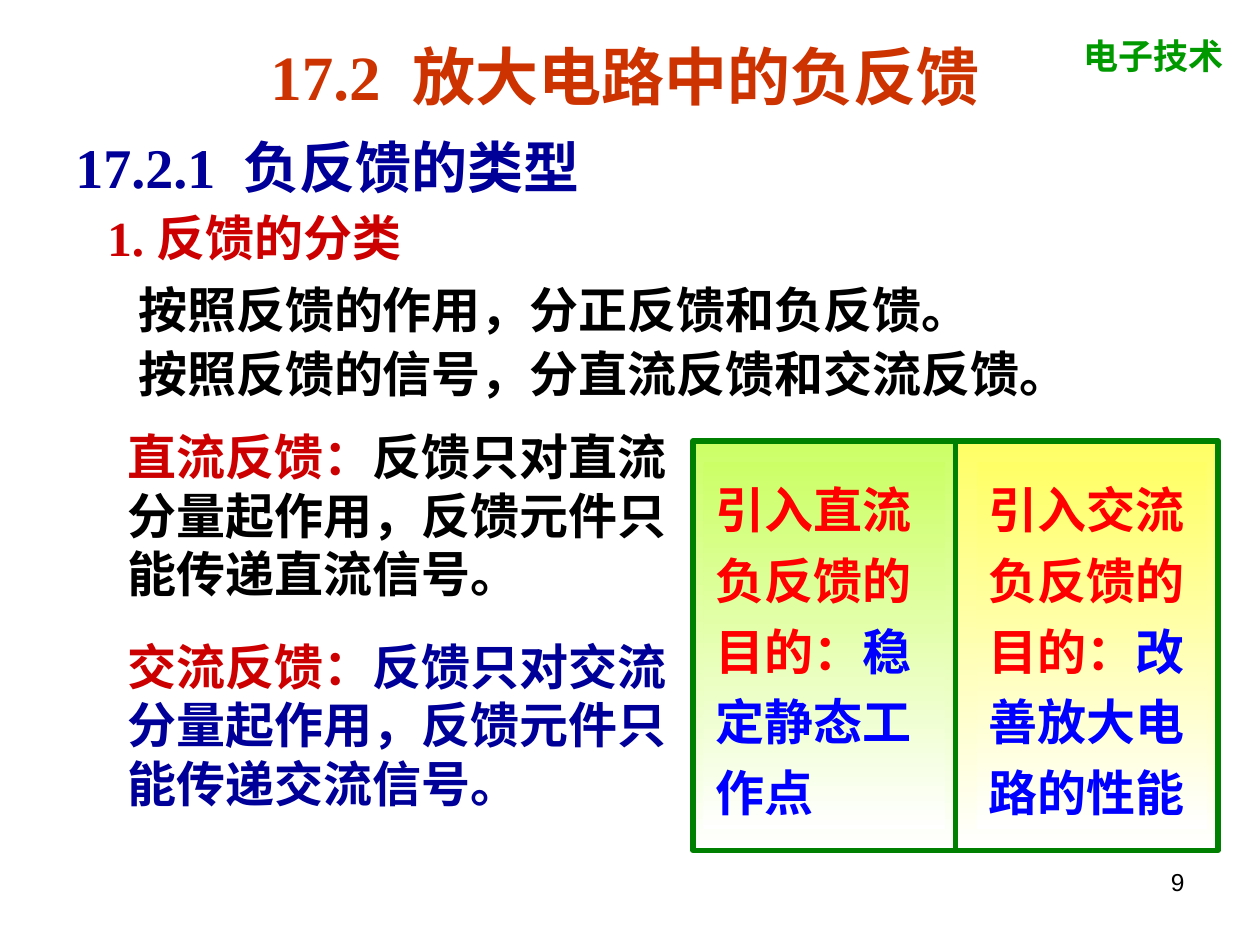
import pptx
import pptx.util
import pptx.dml.color
import pptx.enum.shapes
import pptx.enum.text
from lxml import etree

Pt = pptx.util.Pt
Align = pptx.enum.text.PP_ALIGN
Anchor = pptx.enum.text.MSO_ANCHOR
HUES = {"green": "009900", "rust": "CC3300", "navy": "000099", "crimson": "CC0000",
        "black": "000000", "red": "FF0000", "blue": "0000FF", "frame": "008000",
        "yellow": "FFFF66", "lime": "CCFF66", "white": "FFFFFF"}
LATIN, HAN = "Times New Roman", "Noto Sans CJK SC"


def hue(name):
    """Return the named colour."""
    return pptx.dml.color.RGBColor.from_string(HUES[name])


def write(frame, runs, size, align=Align.LEFT, anchor=Anchor.TOP, wrap=True,
          face=LATIN, bold=True, space=None):
    """Write one paragraph of (text, colour) runs into a text frame."""
    frame.auto_size = pptx.enum.text.MSO_AUTO_SIZE.NONE
    frame.word_wrap = wrap
    frame.vertical_anchor = anchor
    para = frame.paragraphs[0]
    para.alignment = align
    para.line_spacing = space
    for text, tone in runs:
        run = para.add_run()
        run.text = text
        font = run.font
        font.name, font.size, font.bold = face, Pt(size), bold
        font.color.rgb = hue(tone)
        east = etree.SubElement(run._r.get_or_add_rPr(), pptx.oxml.ns.qn("a:ea"))
        east.set("typeface", HAN)


def note(slide, box, runs, size, **style):
    """Add a text box with one paragraph."""
    shape = slide.shapes.add_textbox(*map(Pt, box))
    write(shape.text_frame, runs, size, **style)


def fade(slide, box, tone):
    """Add a rectangle that fades from a colour at the top to white."""
    kind = pptx.enum.shapes.MSO_SHAPE.RECTANGLE
    shape = slide.shapes.add_shape(kind, *map(Pt, box))
    shape.shadow.inherit = False
    shape.fill.gradient()
    shape.fill.gradient_angle = 270
    for stop, name, place in zip(shape.fill.gradient_stops, (tone, "white"), (0, 1)):
        stop.color.rgb = hue(name)
        stop.position = place
    shape.line.fill.background()
    return shape


def panel(slide, box, tone, inset, width, runs):
    """Draw a framed panel with an inner label."""
    left, top, _, high = box
    frame = fade(slide, box, tone)
    frame.line.color.rgb = hue("frame")
    frame.line.width = Pt(3)
    label = fade(slide, (left + inset, top + 12, width, high - 24), tone)
    write(label.text_frame, runs, 28, space=1.2)


def head(slide, box):
    """Place the title, the course tag and the section headings."""
    left, top, wide, high = box
    title = slide.shapes.title
    title.left, title.top, title.width, title.height = map(Pt, (left, top, wide, 54))
    write(title.text_frame, [("17.2  ", "rust"), ("放大电路中的负反馈", "rust")], 36,
          align=Align.CENTER)
    note(slide, (left + 576, top - 2, 104.4, 32), [("电子技术", "green")], 20)
    note(slide, (left, top + 54, 444, 48),
         [("17.2.1  ", "navy"), ("负反馈的类型", "navy")], 32)
    note(slide, (left + 15, top + 97, 188.6, 41), [("1. 反馈的分类", "crimson")], 28,
         align=Align.CENTER, anchor=Anchor.MIDDLE, wrap=False)


def rules(slide, box):
    """Place the two lines on how feedback is sorted."""
    left, top, wide, high = box
    lines = ("按照反馈的作用，分正反馈和负反馈。",
             "按照反馈的信号，分直流反馈和交流反馈。")
    step = high / len(lines)
    for row, text in enumerate(lines):
        note(slide, (left, top + row * step, wide, 41), [(text, "black")], 28)


def terms(slide, box):
    """Place the two definitions one above the other."""
    left, top, wide, high = box
    for row, (kind, tone) in enumerate((("直流", "black"), ("交流", "navy"))):
        runs = [(f"{kind}反馈：", "crimson"),
                (f"反馈只对{kind}分量起作用，反馈元件只能传递{kind}信号。", tone)]
        note(slide, (left, top + row * high / 2, wide, 108), runs, 28)


def goals(slide, box):
    """Place the two purpose panels side by side."""
    left, top, wide, high = box
    half = wide / 2
    items = ((1, "yellow", 12, 132, "交流", "改善放大电路的性能"),
             (0, "lime", 6, 138, "直流", "稳定静态工作点"))
    for col, tone, inset, width, kind, goal in items:
        runs = [(f"引入{kind}负反馈的目的：", "red"), (goal, "blue")]
        panel(slide, (left + col * half, top, half, high), tone, inset, width, runs)


def main():
    """Build and save the slide."""
    deck = pptx.Presentation()
    deck.slide_width, deck.slide_height = Pt(720), Pt(540)
    slide = deck.slides.add_slide(deck.slide_layouts[5])
    head(slide, (36, 18, 642, 138))
    rules(slide, (72, 156, 612, 74))
    terms(slide, (66, 240, 340, 240))
    goals(slide, (396, 252, 300, 234))
    note(slide, (516, 492, 168, 37), [("9", "black")], 14, align=Align.RIGHT,
         face="Arial", bold=False)
    deck.save("out.pptx")


if __name__ == "__main__":
    main()
